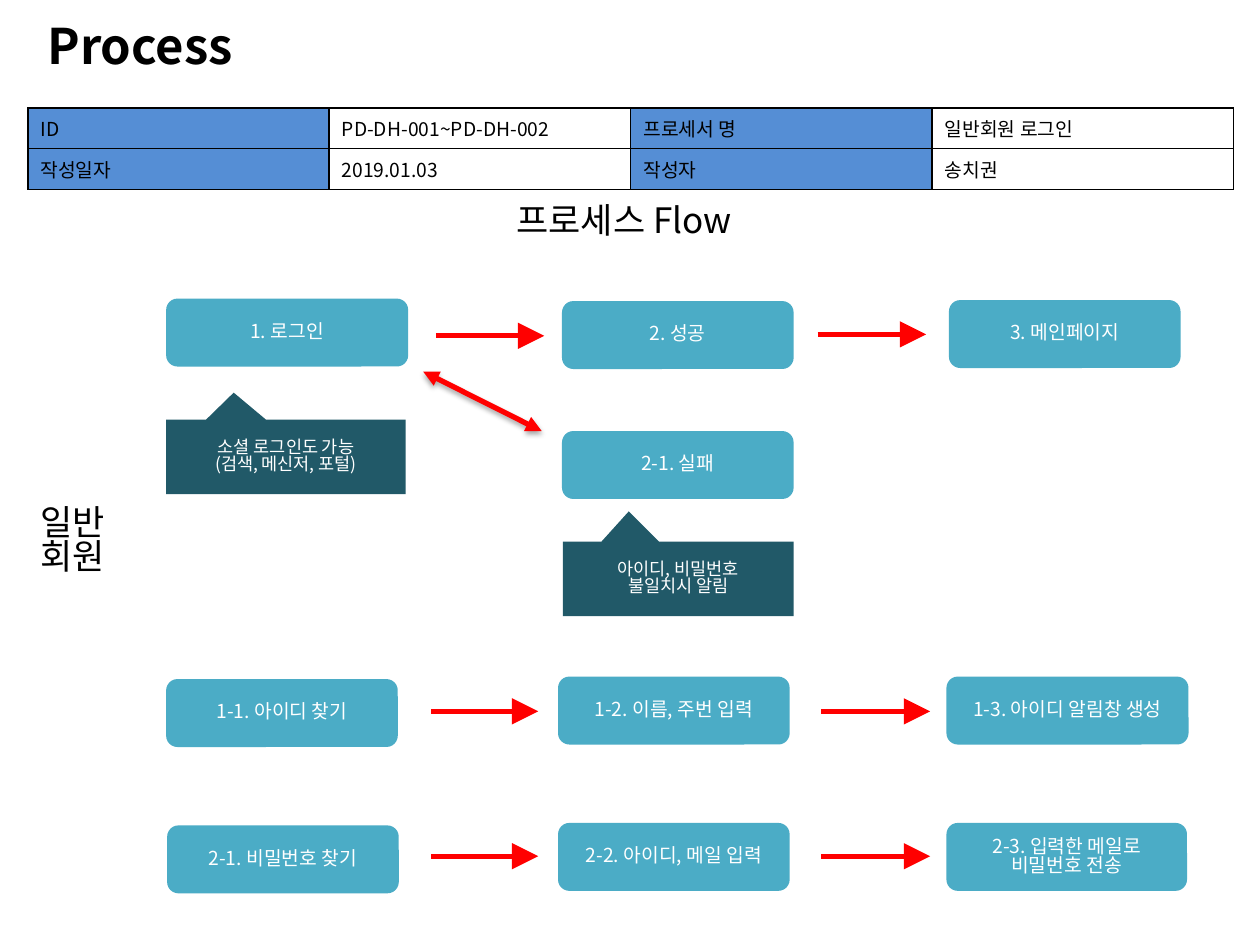
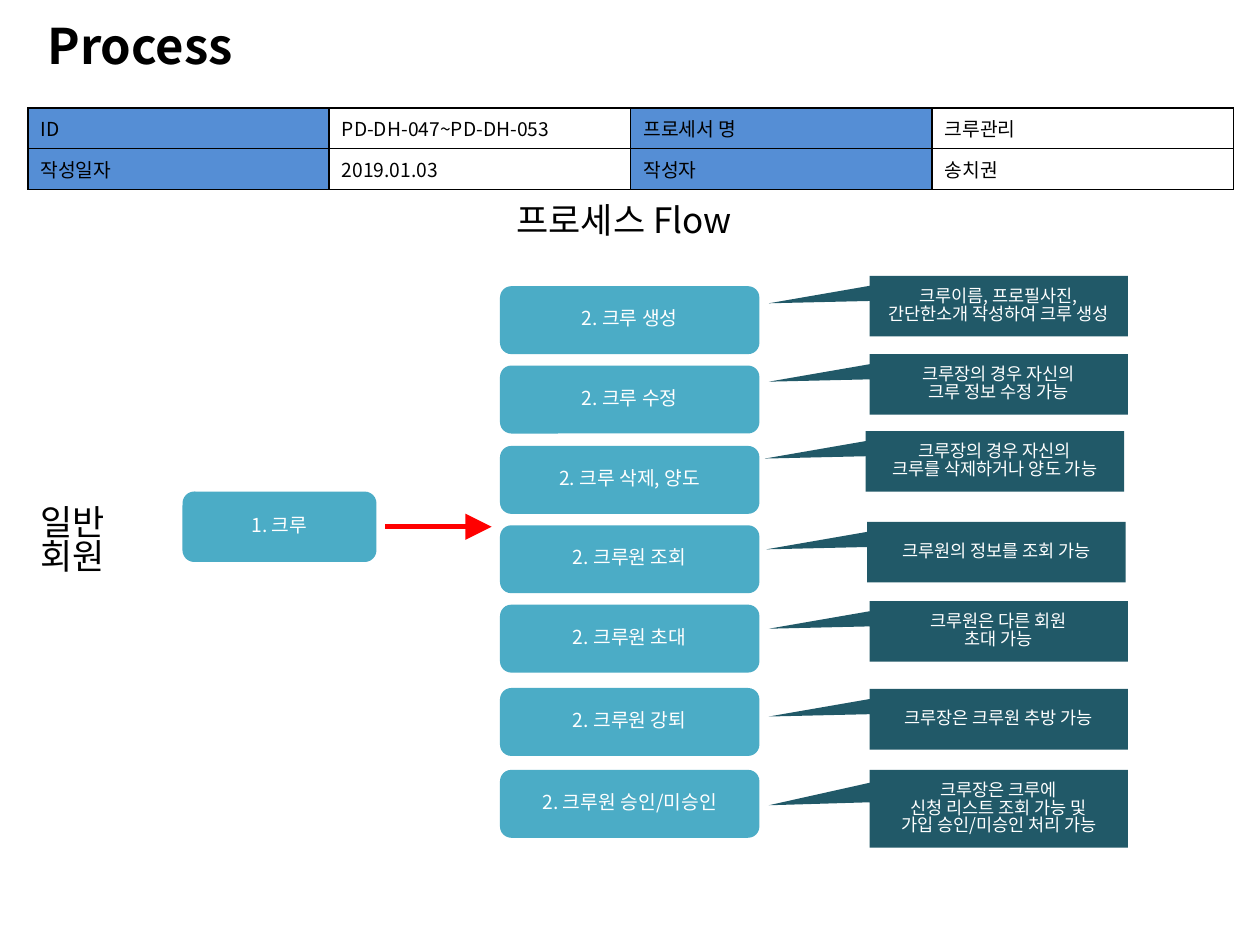
"""Build two process-flow slides for a membership service."""
from lxml.etree import SubElement
from pptx import Presentation
from pptx.dml.color import RGBColor
from pptx.enum.shapes import MSO_CONNECTOR as Connector, MSO_SHAPE as Shape
from pptx.enum.text import MSO_ANCHOR as Anchor, MSO_AUTO_SIZE as AutoSize, PP_ALIGN as Align
from pptx.oxml import parse_xml
from pptx.oxml.ns import nsdecls, qn
from pptx.util import Cm, Pt

FONT = "Noto Sans CJK KR"
BLACK, WHITE, RED = "000000", "FFFFFF", "FF0000"
HEADER_BLUE, STEP_TEAL, NOTE_TEAL = "558ED5", "4BACC6", "215968"
LINE_SPACING = 0.83
STEP_HEIGHT = 1.37
SIDE_TIP = (-0.89, -0.045)

LOGIN_STEPS = [
    (3.35, 6.02, 4.88, "1. 로그인"),
    (11.33, 6.07, 4.67, "2. 성공"),
    (19.13, 6.05, 4.67, "3. 메인페이지"),
    (11.33, 8.69, 4.67, "2-1. 실패"),
    (3.35, 13.69, 4.67, "1-1. 아이디 찾기"),
    (11.25, 13.64, 4.67, "1-2. 이름, 주번 입력"),
    (19.08, 13.64, 4.88, "1-3. 아이디 알림창 생성"),
    (3.37, 16.64, 4.67, "2-1. 비밀번호 찾기"),
    (11.25, 16.59, 4.67, "2-2. 아이디, 메일 입력"),
    (19.08, 16.59, 4.85, "2-3. 입력한 메일로\n비밀번호 전송"),
]
LOGIN_ARROWS = [
    (8.79, 10.97, 6.77), (16.48, 18.67, 6.74),
    (8.69, 10.85, 14.34), (16.56, 18.75, 14.34),
    (8.69, 10.85, 17.26), (16.56, 18.75, 17.26),
]
CREW_STEPS = [
    (5.77, "2. 크루 생성"), (7.37, "2. 크루 수정"), (8.99, "2. 크루 삭제, 양도"),
    (10.59, "2. 크루원 조회"), (12.19, "2. 크루원 초대"),
    (13.87, "2. 크루원 강퇴"), (15.52, "2. 크루원 승인/미승인"),
]
CREW_NOTES = [
    (17.53, 5.56, 1.22, "크루이름, 프로필사진, 간단한소개 작성하여 크루 생성"),
    (17.53, 7.14, 1.22, "크루장의 경우 자신의\n크루 정보 수정 가능"),
    (17.45, 8.69, 1.22, "크루장의 경우 자신의\n크루를 삭제하거나 양도 가능"),
    (17.48, 10.52, 1.22, "크루원의 정보를 조회 가능"),
    (17.53, 12.12, 1.22, "크루원은 다른 회원\n초대 가능"),
    (17.53, 13.89, 1.22, "크루장은 크루원 추방 가능"),
    (17.53, 15.52, 1.57, "크루장은 크루에\n신청 리스트 조회 가능 및\n가입 승인/미승인 처리 가능"),
]


def color(value):
    """Turn a hex string into a colour."""
    return RGBColor.from_string(value)


def write(frame, text, size, text_color, bold=False, align=None, spacing=None):
    """Fill a text frame, one paragraph for each line."""
    frame.word_wrap = True
    for index, line in enumerate(text.split("\n")):
        paragraph = frame.add_paragraph() if index else frame.paragraphs[0]
        paragraph.alignment = align
        paragraph.line_spacing = spacing
        run = paragraph.add_run()
        run.text = line
        font = run.font
        font.name, font.size, font.bold = FONT, Pt(size), bold
        font.color.rgb = color(text_color)
        SubElement(run._r.get_or_add_rPr(), qn("a:ea"), typeface=FONT)


def add_text(slide, left, top, width, height, text, size, bold=False):
    """Add a plain text box that grows with its text."""
    box = slide.shapes.add_textbox(Cm(left), Cm(top), Cm(width), Cm(height))
    write(box.text_frame, text, size, BLACK, bold, spacing=LINE_SPACING)
    box.text_frame.auto_size = AutoSize.SHAPE_TO_FIT_TEXT


def add_block(slide, kind, left, top, width, height, text, size, fill):
    """Add a filled preset shape with centred white text."""
    shape = slide.shapes.add_shape(kind, Cm(left), Cm(top), Cm(width), Cm(height))
    shape.shadow.inherit = False
    shape.fill.solid()
    shape.fill.fore_color.rgb = color(fill)
    shape.line.fill.background()
    shape.text_frame.vertical_anchor = Anchor.MIDDLE
    write(shape.text_frame, text, size, WHITE, align=Align.CENTER, spacing=LINE_SPACING)
    return shape


def add_step(slide, left, top, width, text, height=STEP_HEIGHT):
    """Add a rounded process step."""
    add_block(slide, Shape.ROUNDED_RECTANGLE, left, top, width, height, text, 11, STEP_TEAL)


def add_note(slide, left, top, width, height, text, tip):
    """Add a callout whose pointer ends at tip."""
    note = add_block(slide, Shape.RECTANGULAR_CALLOUT, left, top, width, height,
                     text, 10, NOTE_TEAL)
    note.adjustments[0], note.adjustments[1] = tip


def add_arrow(slide, start, end, both_ways=False):
    """Add a red arrow; a two-way one has smaller heads and a soft shadow."""
    arrow = slide.shapes.add_connector(Connector.STRAIGHT, *map(Cm, start + end))
    arrow.line.color.rgb = color(RED)
    arrow.line.width = Pt(3)
    line = arrow.line._get_or_add_ln()
    size = "med" if both_ways else "lg"
    for name in ("a:headEnd", "a:tailEnd") if both_ways else ("a:tailEnd",):
        SubElement(line, qn(name), type="triangle", w=size, len=size)
    effects = SubElement(arrow._element.spPr, qn("a:effectLst"))
    if both_ways:
        shadow = SubElement(effects, qn("a:outerShdw"), blurRad=str(Pt(3.1)),
                            dist=str(Pt(1.8)), dir="5400000", rotWithShape="0")
        shade = SubElement(shadow, qn("a:srgbClr"), val=BLACK)
        SubElement(shade, qn("a:alpha"), val="35000")


def add_borders(cell):
    """Draw a thin black line on each side of a cell."""
    for index, side in enumerate("LRTB"):
        cell._tc.get_or_add_tcPr().insert(index, parse_xml(
            f'<a:ln{side} {nsdecls("a")} w="{Pt(1)}"><a:solidFill>'
            f'<a:srgbClr val="{BLACK}"/></a:solidFill></a:ln{side}>'))


def add_info_table(slide, rows):
    """Add the table of document details with blue label columns."""
    table = slide.shapes.add_table(len(rows), len(rows[0]), Cm(0.56), Cm(2.18),
                                   Cm(24.31), Cm(1.44)).table
    for row_index, row in enumerate(rows):
        for column, text in enumerate(row):
            cell = table.cell(row_index, column)
            cell.fill.solid()
            cell.fill.fore_color.rgb = color(WHITE if column % 2 else HEADER_BLUE)
            write(cell.text_frame, text, 11, BLACK)
            add_borders(cell)


def add_process_slide(presentation, process_id, process_name):
    """Add a slide with the shared title, table, heading and actor label."""
    slide = presentation.slides.add_slide(presentation.slide_layouts[6])
    add_info_table(slide, [
        ("ID", process_id, "프로세서 명", process_name),
        ("작성일자", "2019.01.03", "작성자", "송치권"),
    ])
    add_text(slide, 10.16, 4.02, 5.11, 1.12, "프로세스 Flow", 20)
    add_text(slide, 0.71, 0.38, 22.81, 1.45, "Process", 28, bold=True)
    add_text(slide, 0.56, 10.1, 1.93, 1.96, "일반\n회원", 20)
    return slide


def add_login_slide(presentation):
    """Add the member login flow."""
    slide = add_process_slide(presentation, "PD-DH-001~PD-DH-002", "일반회원 로그인")
    for step in LOGIN_STEPS:
        add_step(slide, *step)
    for left, right, middle in LOGIN_ARROWS:
        add_arrow(slide, (left, middle), (right, middle))
    add_arrow(slide, (8.53, 7.49), (10.92, 8.69), both_ways=True)
    add_note(slide, 3.35, 8.46, 4.83, 1.5,
             "소셜 로그인도 가능\n(검색, 메신저, 포털)", (-0.218, -0.863))
    add_note(slide, 11.35, 10.92, 4.65, 1.5,
             "아이디, 비밀번호\n불일치시 알림", (-0.215, -0.906))


def add_crew_slide(presentation):
    """Add the crew management flow."""
    slide = add_process_slide(presentation, "PD-DH-047~PD-DH-053", "크루관리")
    add_step(slide, 3.68, 9.91, 3.91, "1. 크루", 1.42)
    add_arrow(slide, (7.77, 10.62), (9.91, 10.62))
    for top, text in CREW_STEPS:
        add_step(slide, 10.08, top, 5.23, text)
    for left, top, height, text in CREW_NOTES:
        add_note(slide, left, top, 5.21, height, text, SIDE_TIP)


def main():
    """Build and save the presentation."""
    presentation = Presentation()
    presentation.slide_width, presentation.slide_height = Cm(25.4), Cm(19.05)
    add_login_slide(presentation)
    add_crew_slide(presentation)
    presentation.save("out.pptx")


if __name__ == "__main__":
    main()
